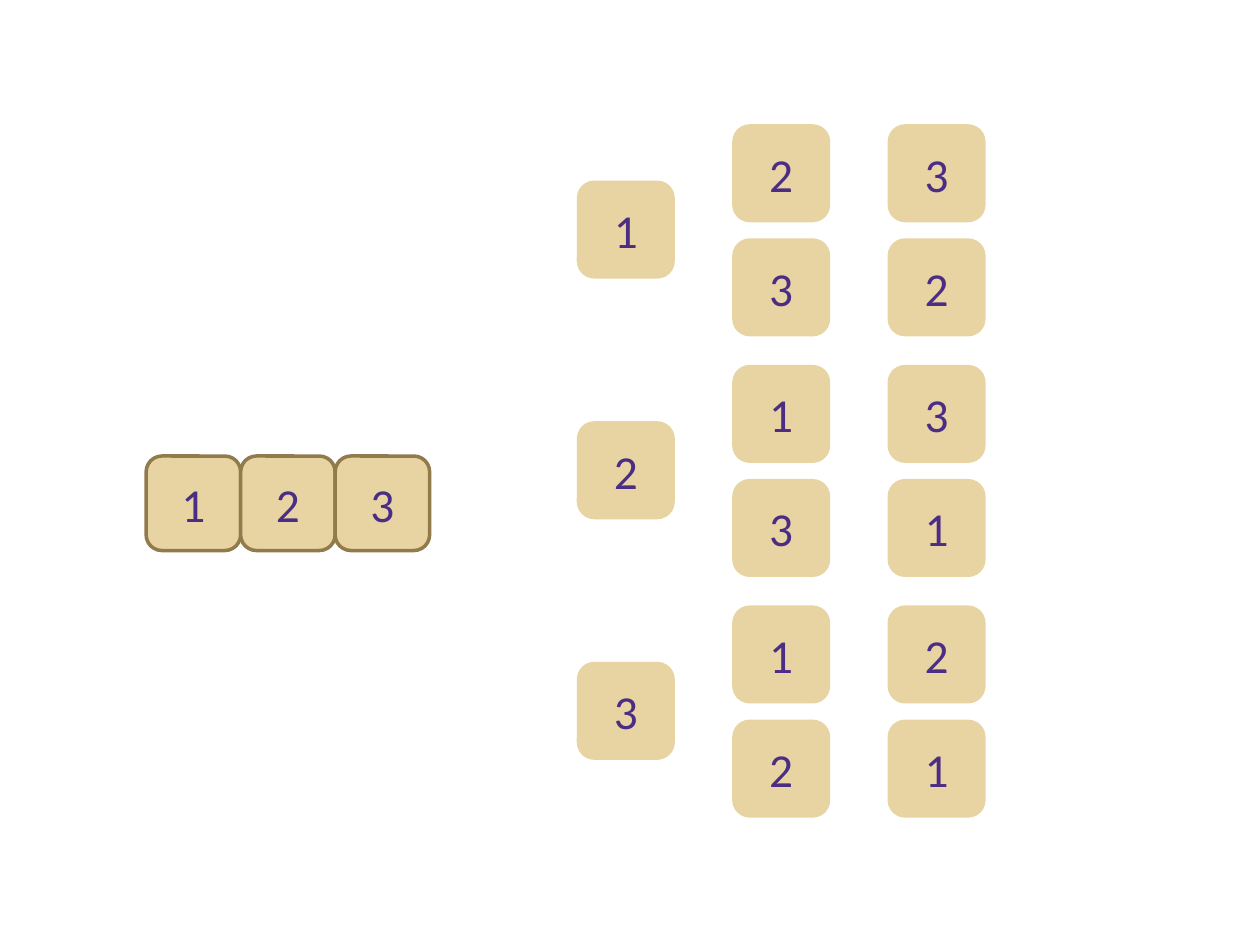
from pptx import Presentation
from pptx.dml.color import RGBColor
from pptx.enum.shapes import MSO_SHAPE
from pptx.enum.text import MSO_ANCHOR, PP_ALIGN
from pptx.util import Pt

SAND, BRONZE, PURPLE = "E8D3A2", "917B4C", "4B2E83"
TILE = 54
DIGITS = ["1", "2", "3"]


def color(value):
    return RGBColor.from_string(value)


class Board:
    """Holds the tile style and the current page."""

    font_format = {"name": "Calibri", "size": Pt(27)}

    def __init__(self, page):
        self.page = page

    def group(self):
        return self.page.shapes.add_group_shape()

    def tile(self, digit, left, top, outline=SAND, group=None):
        parent = group or self.page
        box = parent.shapes.add_shape(
            MSO_SHAPE.ROUNDED_RECTANGLE, Pt(left), Pt(top), Pt(TILE), Pt(TILE))
        box.shadow.inherit = False
        box.fill.solid()
        box.fill.fore_color.rgb = color(SAND)
        box.line.color.rgb = color(outline)
        box.line.width = Pt(2)
        box.text_frame.vertical_anchor = MSO_ANCHOR.MIDDLE
        para = box.text_frame.paragraphs[0]
        para.alignment = PP_ALIGN.CENTER
        span = para.add_run()
        span.text = digit
        for name, value in self.font_format.items():
            setattr(span.font, name, value)
        span.font.color.rgb = color(PURPLE)


def main():
    deck = Presentation()
    deck.slide_width, deck.slide_height = Pt(720), Pt(540)
    board = Board(deck.slides.add_slide(deck.slide_layouts[6]))

    # Starting sequence: three touching tiles
    for index, digit in enumerate(DIGITS):
        board.tile(digit, 83.5 + index * TILE, 260.6, BRONZE)

    # Permutations: a first digit, then both orders of the other two
    first_left, column_step = 330.6, 88.8
    first_top, row_step, block_step = 72, 65.2, 137.5
    for block, first in enumerate(DIGITS):
        top = first_top + block * block_step
        board.tile(first, first_left, top + row_step / 2 - 0.4)
        rest = [digit for digit in DIGITS if digit != first]
        group = board.group()
        for column, digits in enumerate([rest, rest[::-1]], start=1):
            for row, digit in enumerate(digits):
                board.tile(digit, first_left + column * column_step,
                           top + row * row_step, group=group)

    deck.save("out.pptx")


if __name__ == "__main__":
    main()
